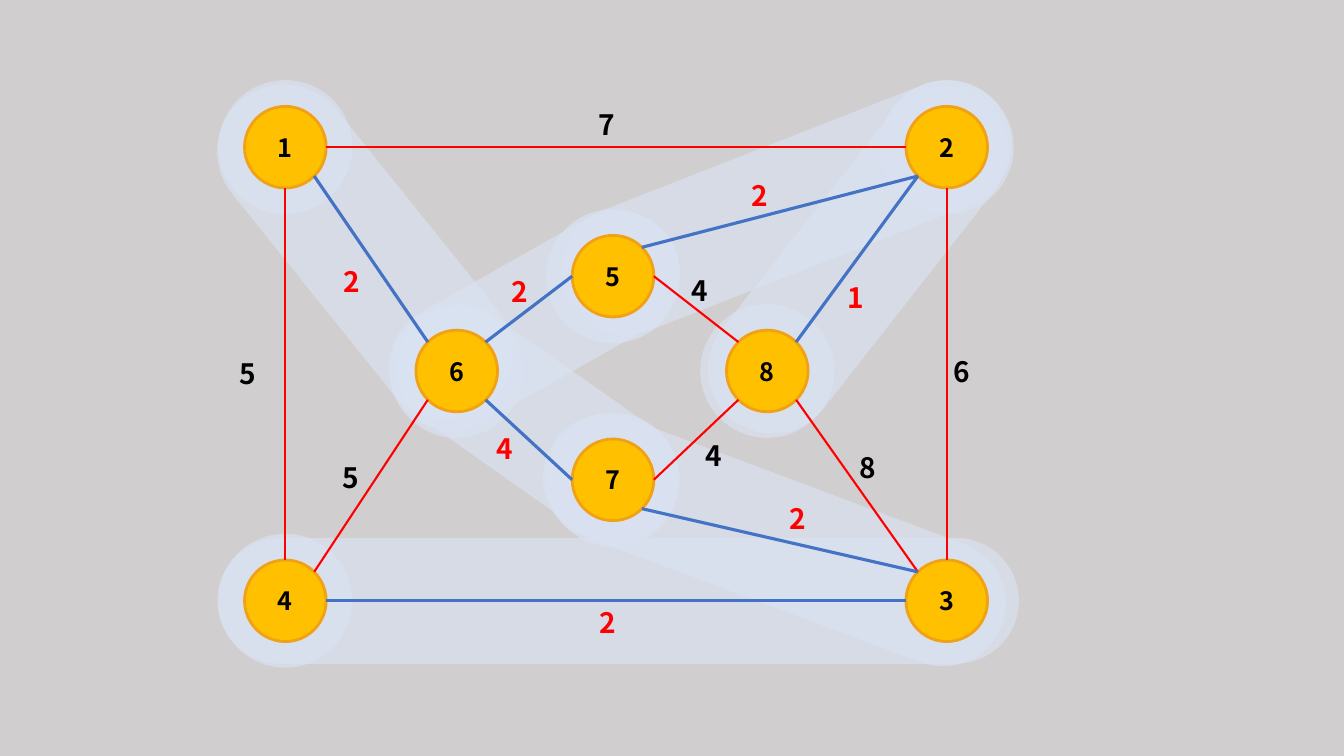
from dataclasses import dataclass
from math import cos, radians, sin

from lxml.etree import SubElement
from pptx import Presentation
from pptx.dml.color import RGBColor as RGB
from pptx.enum.shapes import MSO_CONNECTOR as CONNECTOR, MSO_SHAPE as SHAPE
from pptx.enum.text import MSO_ANCHOR as ANCHOR, MSO_AUTO_SIZE as AUTO, PP_ALIGN as ALIGN
from pptx.oxml.ns import qn
from pptx.util import Inches, Pt


@dataclass(frozen=True)
class Theme:
    font: str = "Noto Sans CJK KR"
    background: RGB = RGB(0xD0, 0xCE, 0xCE)
    halo: RGB = RGB(0xDA, 0xE3, 0xF3)
    halo_opacity: int = 63
    node: RGB = RGB(0xFF, 0xC0, 0x00)
    node_line: RGB = RGB(0xF1, 0xA1, 0x16)
    edge: RGB = RGB(0xFF, 0x00, 0x00)
    tree_edge: RGB = RGB(0x44, 0x72, 0xC4)
    text: RGB = RGB(0x00, 0x00, 0x00)
    tree_text: RGB = RGB(0xFF, 0x00, 0x00)
    node_size: int = 18
    weight_size: int = 20
    node_line_width: float = 2
    edge_width: float = 1.5
    tree_width: float = 2.25


NODE_SIZE = 0.81
HALO_SIZE = 1.33
WEIGHT_W, WEIGHT_H = 0.36, 0.44
PORTS = {"E": 0, "SE": 45, "S": 90, "SW": 135, "W": 180, "NW": 225, "N": 270, "NE": 315}

LEFT, RIGHT, TOP, BOTTOM = 2.83, 9.39, 1.46, 5.96
NODES = {
    "1": (LEFT, TOP), "2": (RIGHT, TOP), "4": (LEFT, BOTTOM), "3": (RIGHT, BOTTOM),
    "5": (6.08, 2.74), "7": (6.08, 4.76), "8": (7.61, 3.68), "6": (4.53, 3.68),
}

BANDS = [
    (8.51, 2.58, 1.28, 4.03, 38.1, "8"),
    (7.8, 2.06, 1.28, 4.7, 68.6, "2"),
    (3.62, 2.5, 1.33, 3.89, 141.2, "1"),
    (5.3, 3.18, 1.25, 3.14, 60.4, "5"),
    (5.33, 4.2, 1.25, 3.14, 125.2, "6"),
    (7.68, 5.36, 1.25, 4.82, 110.5, "7"),
    (6.13, 5.96, 1.25, 7.95, 90, "4"),
]

EDGES = [
    ("1", "E", "2", "W", "7", 5.84, 1.02, False),
    ("1", "SE", "6", "NW", "2", 3.31, 2.57, True),
    ("4", "NE", "6", "SW", "5", 3.3, 4.52, False),
    ("4", "N", "1", "S", "5", 2.28, 3.49, False),
    ("4", "E", "3", "W", "2", 5.85, 5.96, True),
    ("6", "SE", "7", "W", "4", 4.83, 4.23, True),
    ("6", "NE", "5", "W", "2", 4.98, 2.67, True),
    ("5", "E", "8", "NW", "4", 6.76, 2.66, False),
    ("8", "SE", "3", "NW", "8", 8.43, 4.42, False),
    ("8", "NE", "2", "SW", "1", 8.31, 2.73, True),
    ("3", "N", "2", "S", "6", 9.36, 3.47, False),
    ("7", "E", "8", "SW", "4", 6.9, 4.3, False),
    ("5", "NE", "2", "SW", "2", 7.36, 1.72, True),
    ("7", "SE", "3", "NW", "2", 7.73, 4.93, True),
]


class GraphSlide:
    def __init__(self, s, theme):
        self.s, self.theme = s, theme
        fill = s.background.fill
        fill.solid()
        fill.fore_color.rgb = theme.background

    def shape(self, kind, cx, cy, w, h, color):
        sp = self.s.shapes.add_shape(
            kind, Inches(cx - w / 2), Inches(cy - h / 2), Inches(w), Inches(h))
        sp.shadow.inherit = False
        sp.fill.solid()
        sp.fill.fore_color.rgb = color
        sp.line.fill.background()
        return sp

    def halo(self, kind, cx, cy, w, h, rotation=0):
        sp = self.shape(kind, cx, cy, w, h, self.theme.halo)
        sp.rotation = rotation
        color = sp._element.spPr.find(qn("a:solidFill"))[0]
        SubElement(color, qn("a:alpha"), val=str(self.theme.halo_opacity * 1000))
        return sp

    def band(self, cx, cy, w, length, rotation):
        sp = self.halo(SHAPE.ROUNDED_RECTANGLE, cx, cy, w, length, rotation)
        sp.adjustments[0] = 0.5

    def label(self, tf, text, size, color):
        p = tf.paragraphs[0]
        p.text = text
        p.font.name = self.theme.font
        p.font.size = Pt(size)
        p.font.bold = True
        p.font.color.rgb = color
        return p

    def node(self, name, cx, cy):
        t = self.theme
        sp = self.shape(SHAPE.OVAL, cx, cy, NODE_SIZE, NODE_SIZE, t.node)
        sp.name = f"Node {name}"
        sp.line.color.rgb = t.node_line
        sp.line.width = Pt(t.node_line_width)
        tf = sp.text_frame
        tf.vertical_anchor = ANCHOR.MIDDLE
        self.label(tf, name, t.node_size, t.text).alignment = ALIGN.CENTER

    def edge(self, start, end, in_tree):
        t = self.theme
        line = self.s.shapes.add_connector(
            CONNECTOR.STRAIGHT, *(Inches(v) for v in (*start, *end)))
        line.line.color.rgb = t.tree_edge if in_tree else t.edge
        line.line.width = Pt(t.tree_width if in_tree else t.edge_width)
        SubElement(line._element.spPr, qn("a:effectLst"))

    def weight(self, text, x, y, in_tree):
        t = self.theme
        box = self.s.shapes.add_textbox(
            Inches(x), Inches(y), Inches(WEIGHT_W), Inches(WEIGHT_H))
        tf = box.text_frame
        tf.word_wrap = False
        tf.auto_size = AUTO.SHAPE_TO_FIT_TEXT
        self.label(tf, text, t.weight_size, t.tree_text if in_tree else t.text)


def port(node, side):
    cx, cy = NODES[node]
    angle = radians(PORTS[side])
    return cx + NODE_SIZE / 2 * cos(angle), cy + NODE_SIZE / 2 * sin(angle)


prs = Presentation()
prs.slide_width, prs.slide_height = Inches(13.33), Inches(7.5)
graph = GraphSlide(prs.slides.add_slide(prs.slide_layouts[6]), Theme())

for *band, node in BANDS:
    graph.band(*band)
    graph.halo(SHAPE.OVAL, *NODES[node], HALO_SIZE, HALO_SIZE)
for name, center in NODES.items():
    graph.node(name, *center)
for a, a_side, b, b_side, weight, x, y, in_tree in EDGES:
    graph.edge(port(a, a_side), port(b, b_side), in_tree)
    graph.weight(weight, x, y, in_tree)

prs.save("out.pptx")
